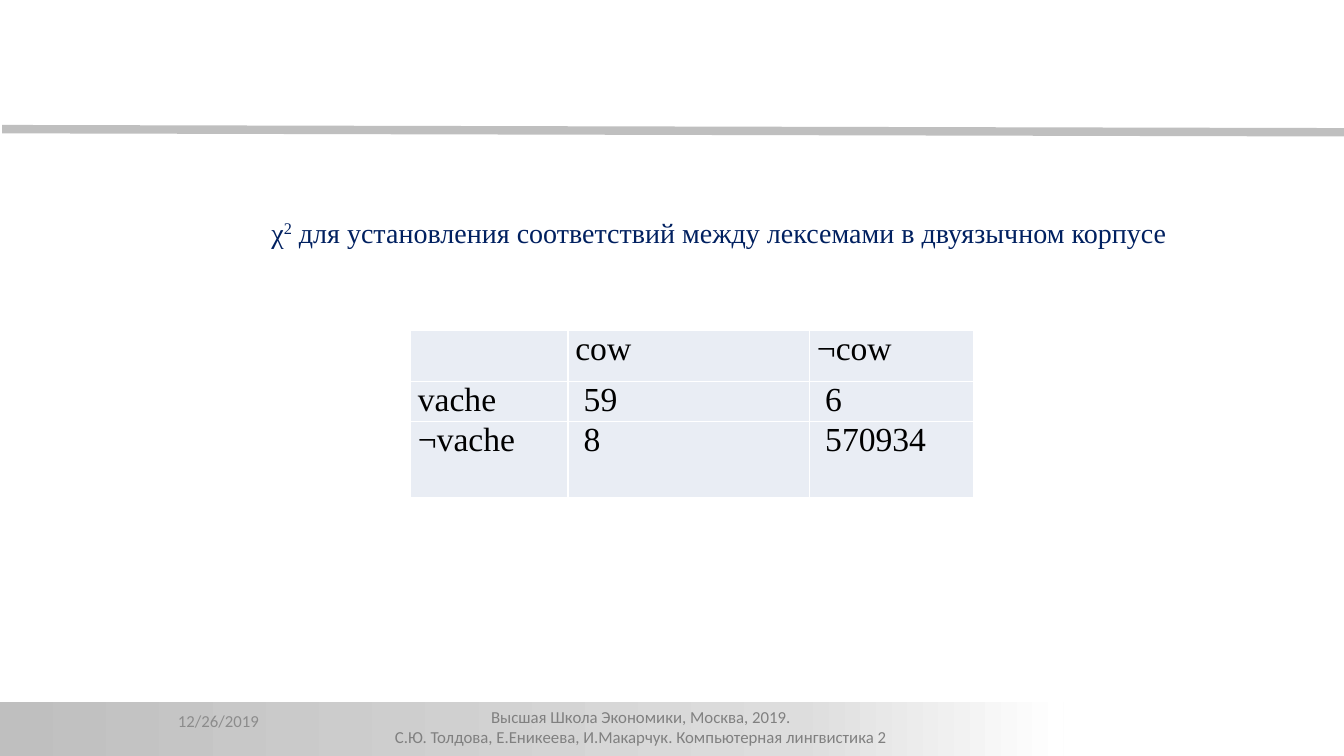
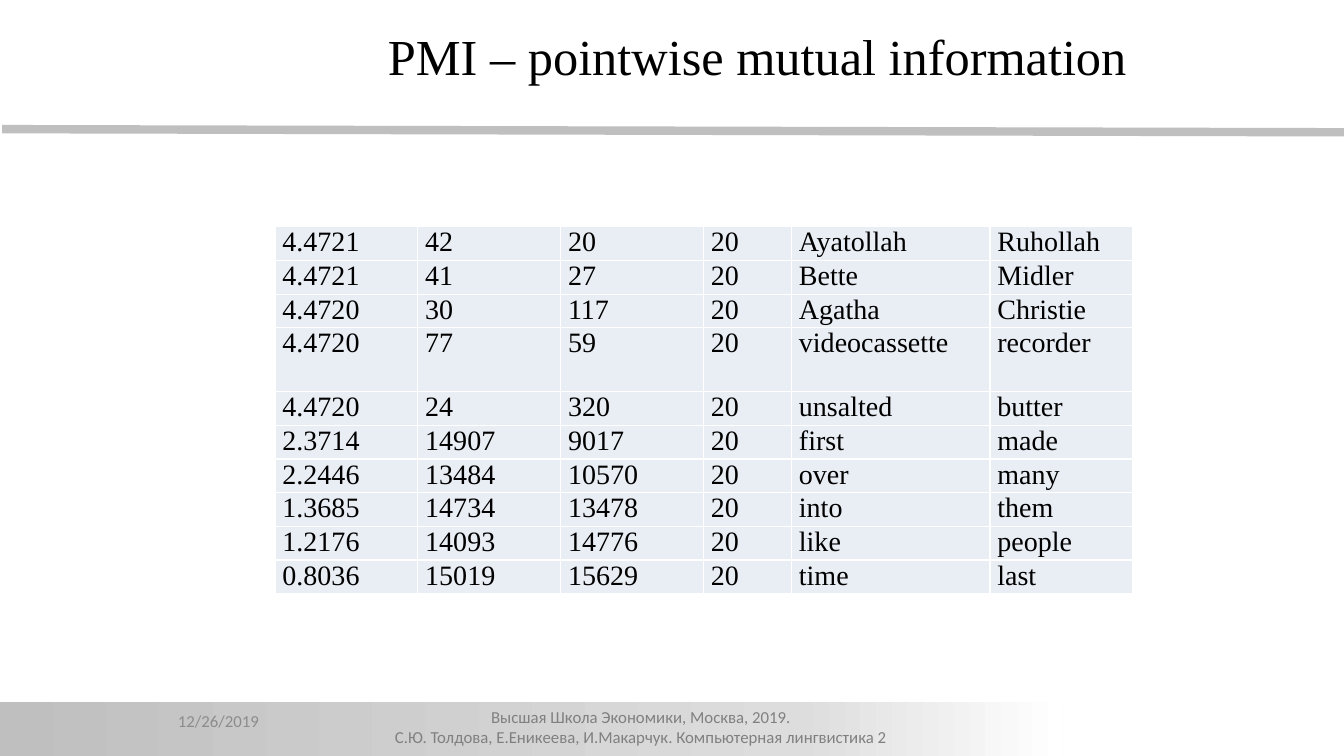
from copy import deepcopy

from lxml.etree import SubElement
from pptx import Presentation
from pptx.dml.color import RGBColor
from pptx.enum.shapes import MSO_CONNECTOR, MSO_SHAPE
from pptx.enum.text import MSO_ANCHOR, PP_ALIGN
from pptx.oxml.ns import qn
from pptx.util import Pt

PX = 9525
COLORS = {
    "rule": "BFBFBF",
    "band_mid": "DDDDDD",
    "white": "FFFFFF",
    "footer": "808080",
    "date": "8C8C8C",
    "cell": "E9EDF4",
    "heading": "002060",
    "text": "000000",
}
SERIF = "Times New Roman"
SANS = "Calibri"
DATE = "12/26/2019"
FOOTER = [
    "Высшая Школа Экономики, Москва, 2019.",
    "С.Ю. Толдова, Е.Еникеева, И.Макарчук. Компьютерная лингвистика 2",
]


def px(n):
    return int(n * PX)


def rgb(name):
    return RGBColor.from_string(COLORS[name])


def assign(obj, **values):
    for name, value in values.items():
        setattr(obj, name, value)


class Deck:
    def __init__(self):
        self.prs = Presentation()
        assign(self.prs, slide_width=px(1280), slide_height=px(720))
        self.s = None

    def slide(self):
        self.s = self.prs.slides.add_slide(self.prs.slide_layouts[6])
        self.rule(2, 123, 1280, 126)
        self.band(0, 669, 1013, 51)
        self.text(242, 668, 737, 43, FOOTER, 12, SANS, "footer",
                  align=PP_ALIGN.CENTER)
        self.text(160, 667, 224, 38, [DATE], 12, SANS, "date",
                  anchor=MSO_ANCHOR.MIDDLE)

    def rule(self, x1, y1, x2, y2):
        sp = self.s.shapes.add_connector(
            MSO_CONNECTOR.STRAIGHT, px(x1), px(y1), px(x2), px(y2))
        sp.line.width = Pt(6)
        sp.line.color.rgb = rgb("rule")
        SubElement(sp._element.spPr, qn("a:effectLst"))

    def band(self, x, y, w, h):
        sp = self.s.shapes.add_shape(
            MSO_SHAPE.RECTANGLE, px(x), px(y), px(w), px(h))
        sp.shadow.inherit = False
        sp.line.fill.background()
        sp.fill.gradient()
        sp.fill.gradient_angle = 0
        stops = next(sp._element.spPr.iter(qn("a:gsLst")))
        stops.insert(1, deepcopy(stops[0]))
        shades = [(0, "rule"), (0.75, "band_mid"), (1, "white")]
        for stop, (position, color) in zip(sp.fill.gradient_stops, shades):
            stop.position = position
            stop.color.rgb = rgb(color)

    def run(self, p, text, size, font, color):
        r = p.add_run()
        r.text = text
        assign(r.font, size=Pt(size), name=font)
        r.font.color.rgb = rgb(color)
        return r

    def text(self, x, y, w, h, lines, size, font, color,
             align=PP_ALIGN.LEFT, anchor=MSO_ANCHOR.TOP):
        sp = self.s.shapes.add_textbox(px(x), px(y), px(w), px(h))
        tf = sp.text_frame
        assign(tf, word_wrap=True, vertical_anchor=anchor)
        for i, line in enumerate(lines):
            p = tf.add_paragraph() if i else tf.paragraphs[0]
            p.alignment = align
            self.run(p, line, size, font, color)
        return tf.paragraphs[0]

    def heading(self, x, y, w, h, base, power, rest):
        p = self.text(x, y, w, h, [base], 20, SERIF, "heading",
                      anchor=MSO_ANCHOR.MIDDLE)
        p._p.get_or_add_pPr().set("indent", str(px(48)))
        r = self.run(p, power, 20, SERIF, "heading")
        r._r.get_or_add_rPr().set("baseline", "30000")
        self.run(p, rest, 20, SERIF, "heading")

    def borders(self, cell):
        tc_pr = cell._tc.get_or_add_tcPr()
        for side in ("L", "R", "T", "B"):
            ln = SubElement(tc_pr, qn(f"a:ln{side}"), w=str(Pt(1)))
            fill = SubElement(ln, qn("a:solidFill"))
            SubElement(fill, qn("a:srgbClr"), val=COLORS["white"])

    def table(self, x, y, widths, heights, rows, size, value_indent=0):
        sp = self.s.shapes.add_table(
            len(rows), len(widths), px(x), px(y),
            px(sum(widths)), px(sum(heights)))
        tbl = sp.table
        assign(tbl, first_row=False, horz_banding=False)
        for col, width in zip(tbl.columns, widths):
            col.width = px(width)
        for row, height in zip(tbl.rows, heights):
            row.height = px(height)
        for i, row in enumerate(rows):
            for j, value in enumerate(row):
                cell = tbl.cell(i, j)
                indent = value_indent if i and j else 0
                assign(cell, margin_left=px(7 + indent), margin_right=px(7),
                       margin_top=0, margin_bottom=0)
                self.borders(cell)
                cell.fill.solid()
                cell.fill.fore_color.rgb = rgb("cell")
                if value:
                    self.run(cell.text_frame.paragraphs[0], value,
                             size, SERIF, "text")


CONTINGENCY = [
    ("", "cow", "¬cow"),
    ("vache", "59", "6"),
    ("¬vache", "8", "570934"),
]
PMI = [
    ("4.4721", "42", "20", "20", "Ayatollah", "Ruhollah"),
    ("4.4721", "41", "27", "20", "Bette", "Midler"),
    ("4.4720", "30", "117", "20", "Agatha", "Christie"),
    ("4.4720", "77", "59", "20", "videocassette", "recorder"),
    ("4.4720", "24", "320", "20", "unsalted", "butter"),
    ("2.3714", "14907", "9017", "20", "first", "made"),
    ("2.2446", "13484", "10570", "20", "over", "many"),
    ("1.3685", "14734", "13478", "20", "into", "them"),
    ("1.2176", "14093", "14776", "20", "like", "people"),
    ("0.8036", "15019", "15629", "20", "time", "last"),
]


def main():
    deck = Deck()

    deck.slide()
    deck.heading(201, 199, 929, 44, "χ", "2",
                 " для установления соответствий между лексемами"
                 " в двуязычном корпусе")
    deck.table(391, 315, [150, 230, 156], [48, 38, 72],
               CONTINGENCY, 24, value_indent=8)

    deck.slide()
    deck.text(360, 19, 741, 68, ["PMI – pointwise mutual information"],
              36, SERIF, "text")
    deck.table(262, 216, [136, 136, 136, 84, 189, 136],
               [32] * 3 + [61] + [32] * 6, PMI, 20)

    deck.prs.save("out.pptx")


if __name__ == "__main__":
    main()
